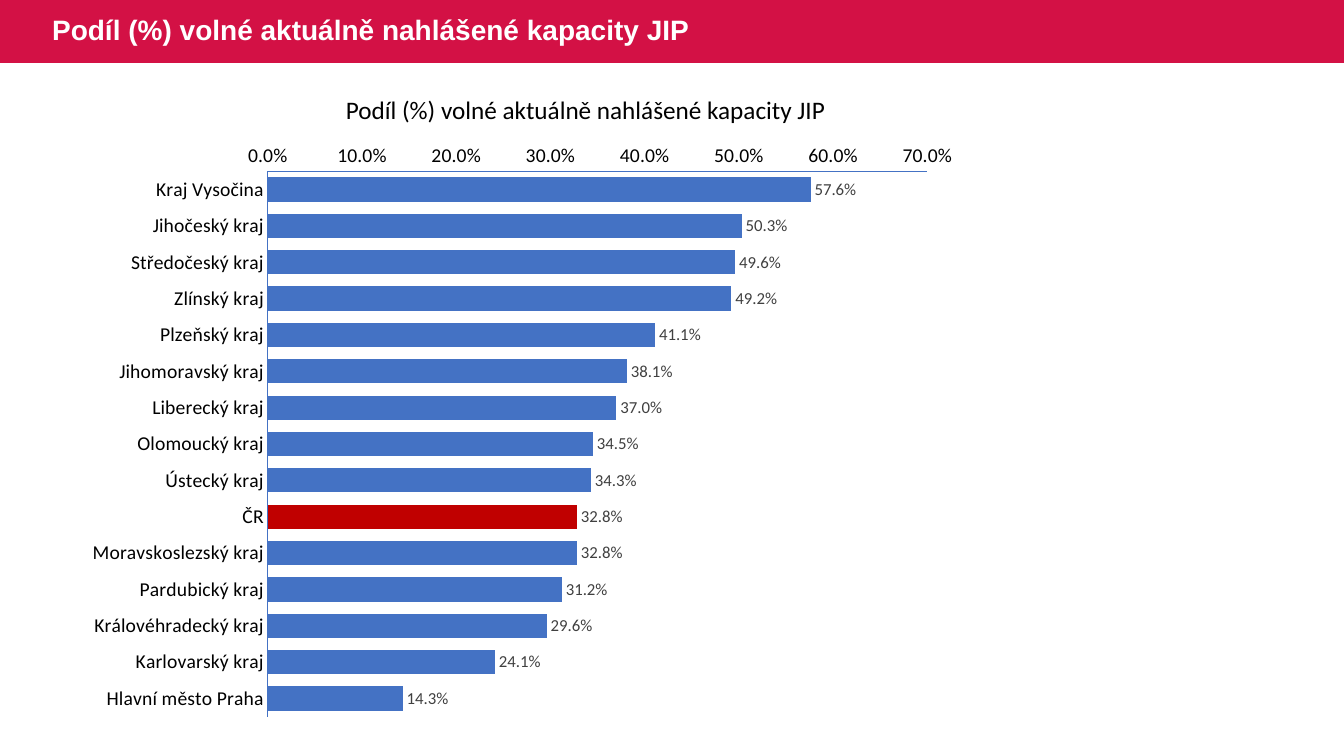
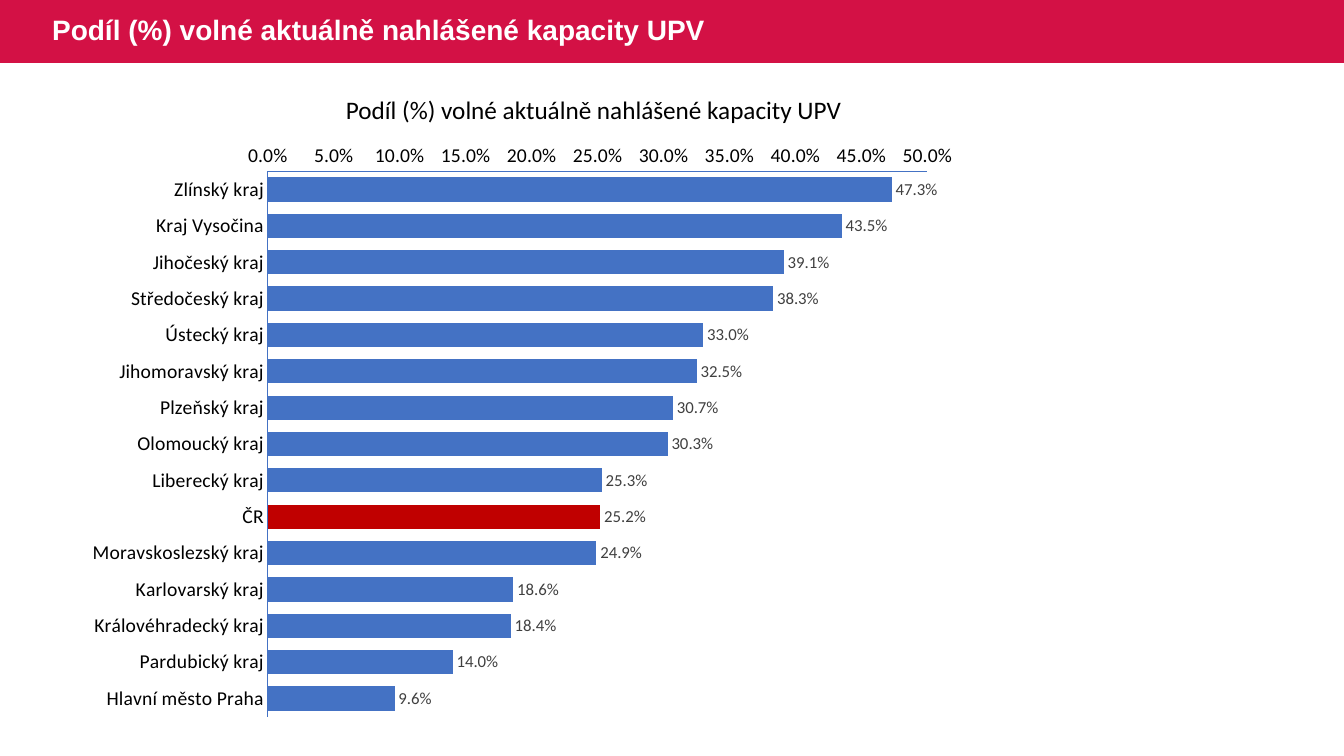
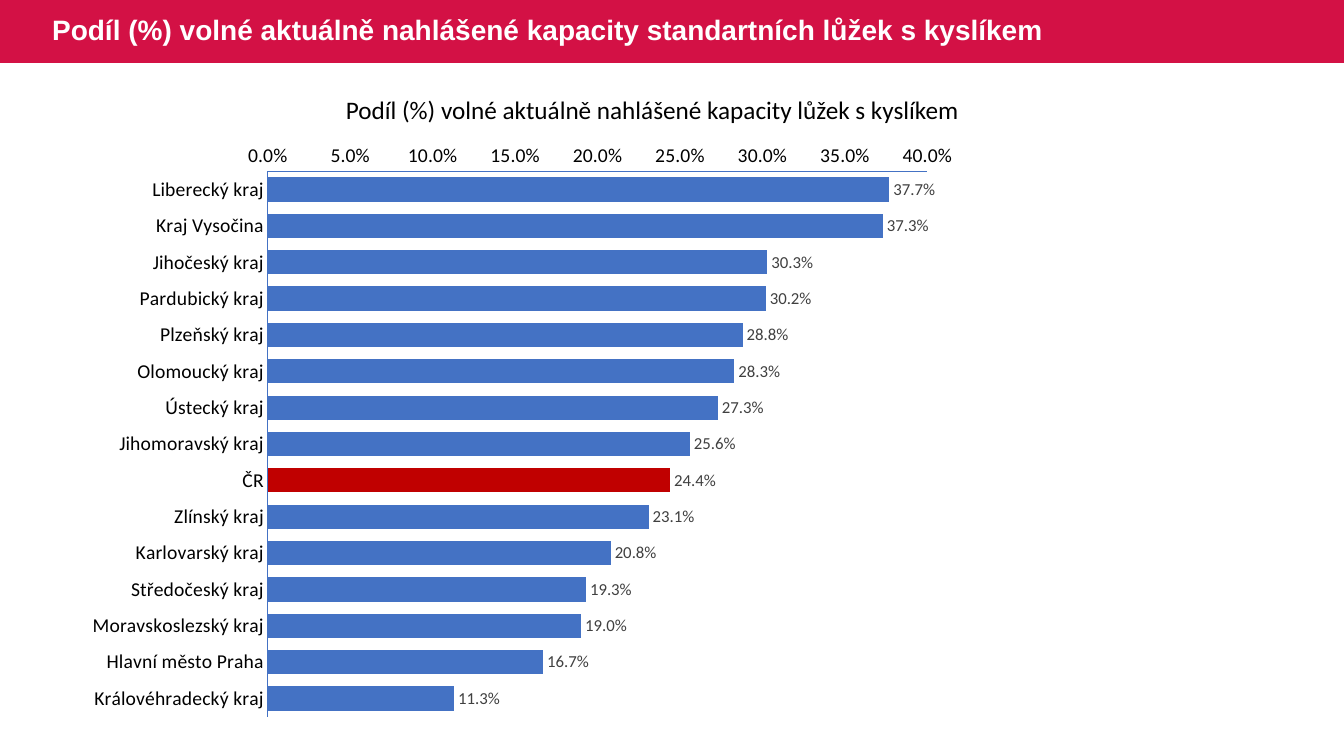
from pptx import Presentation
from pptx import util as u
from pptx.chart.data import CategoryChartData
from pptx.dml.color import RGBColor
from pptx.enum import chart as c
from pptx.enum import shapes, text

PX = 9525
SLIDE_WIDTH, SLIDE_HEIGHT, BAND_HEIGHT = 1280, 720, 60
CRIMSON = RGBColor(0xD3, 0x11, 0x45)
WHITE = RGBColor(0xFF, 0xFF, 0xFF)
BLACK = RGBColor(0x00, 0x00, 0x00)
GREY = RGBColor(0x40, 0x40, 0x40)
BLUE = RGBColor(0x44, 0x72, 0xC4)
RED = RGBColor(0xC0, 0x00, 0x00)
COUNTRY = "ČR"
PERCENT = "0.0%"

ICU_SHARES = {
    "Kraj Vysočina": 0.576, "Jihočeský kraj": 0.503, "Středočeský kraj": 0.496,
    "Zlínský kraj": 0.492, "Plzeňský kraj": 0.411, "Jihomoravský kraj": 0.381,
    "Liberecký kraj": 0.37, "Olomoucký kraj": 0.345, "Ústecký kraj": 0.343,
    COUNTRY: 0.328, "Moravskoslezský kraj": 0.328, "Pardubický kraj": 0.312,
    "Královéhradecký kraj": 0.296, "Karlovarský kraj": 0.241, "Hlavní město Praha": 0.143,
}
VENTILATOR_SHARES = {
    "Zlínský kraj": 0.473, "Kraj Vysočina": 0.435, "Jihočeský kraj": 0.391,
    "Středočeský kraj": 0.383, "Ústecký kraj": 0.33, "Jihomoravský kraj": 0.325,
    "Plzeňský kraj": 0.307, "Olomoucký kraj": 0.303, "Liberecký kraj": 0.253,
    COUNTRY: 0.252, "Moravskoslezský kraj": 0.249, "Karlovarský kraj": 0.186,
    "Královéhradecký kraj": 0.184, "Pardubický kraj": 0.14, "Hlavní město Praha": 0.096,
}
OXYGEN_SHARES = {
    "Liberecký kraj": 0.377, "Kraj Vysočina": 0.373, "Jihočeský kraj": 0.303,
    "Pardubický kraj": 0.302, "Plzeňský kraj": 0.288, "Olomoucký kraj": 0.283,
    "Ústecký kraj": 0.273, "Jihomoravský kraj": 0.256, COUNTRY: 0.244,
    "Zlínský kraj": 0.231, "Karlovarský kraj": 0.208, "Středočeský kraj": 0.193,
    "Moravskoslezský kraj": 0.19, "Hlavní město Praha": 0.167, "Královéhradecký kraj": 0.113,
}
PAGES = [
    ("Podíl (%) volné aktuálně nahlášené kapacity JIP",
     "Podíl (%) volné aktuálně nahlášené kapacity JIP", 492, ICU_SHARES),
    ("Podíl (%) volné aktuálně nahlášené kapacity UPV",
     "Podíl (%) volné aktuálně nahlášené kapacity UPV", 496, VENTILATOR_SHARES),
    ("Podíl (%) volné aktuálně nahlášené kapacity standartních lůžek s kyslíkem",
     "Podíl (%) volné aktuálně nahlášené kapacity lůžek s kyslíkem", 610, OXYGEN_SHARES),
]


def place(*lengths):
    """Turn px lengths into EMU."""
    return [u.Emu(length * PX) for length in lengths]


def style_font(font, name, size, color, bold=False):
    """Set the face, size, colour and weight of a font."""
    font.name, font.size, font.bold = name, u.Pt(size), bold
    font.color.rgb = color


def add_band(page, layout):
    """Put the title band on the layout, behind its placeholders."""
    band = page.shapes.add_shape(
        shapes.MSO_SHAPE.RECTANGLE, *place(0, 0, SLIDE_WIDTH, BAND_HEIGHT))
    band.shadow.inherit = False
    band.fill.solid()
    band.fill.fore_color.rgb = CRIMSON
    band.line.fill.background()
    layout.shapes.element.insert(2, band.element)


def set_title(page, title):
    """Write the slide title inside the band."""
    box = page.shapes.title
    box.left, box.top, box.width, box.height = place(40, 0, 1110, BAND_HEIGHT)
    frame = box.text_frame
    frame.text = title
    frame.vertical_anchor = text.MSO_ANCHOR.MIDDLE
    frame.auto_size = text.MSO_AUTO_SIZE.NONE
    para = frame.paragraphs[0]
    para.alignment = text.PP_ALIGN.LEFT
    para.line_spacing = 0.9
    style_font(para.runs[0].font, "Arial", 20, WHITE, True)


def add_heading(page, heading, width):
    """Add the heading above the chart."""
    frame = page.shapes.add_textbox(*place(320, 85, width, 38)).text_frame
    frame.text = heading
    frame.word_wrap = False
    frame.auto_size = text.MSO_AUTO_SIZE.SHAPE_TO_FIT_TEXT
    style_font(frame.paragraphs[0].runs[0].font, "Calibri", 18, BLACK)


def style_axis(axis):
    """Give an axis a thin blue line and no ticks or gridlines."""
    axis.has_major_gridlines = False
    axis.major_tick_mark = axis.minor_tick_mark = c.XL_TICK_MARK.NONE
    axis.format.line.color.rgb = BLUE
    axis.format.line.width = u.Pt(0.75)
    style_font(axis.tick_labels.font, "Calibri", 14, BLACK)


def add_share_chart(page, shares):
    """Add the ranked bar chart with the national bar in red."""
    data = CategoryChartData(number_format=PERCENT)
    data.categories = list(shares)
    data.add_series("Series 1", list(shares.values()))
    chart = page.shapes.add_chart(
        c.XL_CHART_TYPE.BAR_CLUSTERED, *place(71, 125, 853, 569), data).chart
    chart.has_legend = chart.has_title = False
    style_font(chart.font, "Calibri", 10, BLACK)
    style_axis(chart.category_axis)
    style_axis(chart.value_axis)
    chart.category_axis.reverse_order = True
    labels = chart.value_axis.tick_labels
    labels.number_format, labels.number_format_is_linked = PERCENT, False

    plot = chart.plots[0]
    plot.gap_width = 50
    plot.vary_by_categories = False
    series = plot.series[0]
    series.format.fill.solid()
    series.format.fill.fore_color.rgb = BLUE
    country_fill = series.points[list(shares).index(COUNTRY)].format.fill
    country_fill.solid()
    country_fill.fore_color.rgb = RED
    labels = series.data_labels
    labels.show_value = True
    labels.position = c.XL_LABEL_POSITION.OUTSIDE_END
    labels.number_format, labels.number_format_is_linked = PERCENT, False
    style_font(labels.font, "Calibri", 12, GREY)


def main():
    """Build and save the deck."""
    deck = Presentation()
    deck.slide_width, deck.slide_height = place(SLIDE_WIDTH, SLIDE_HEIGHT)
    layout = deck.slide_layouts.get_by_name("Title Only")
    for title, heading, width, shares in PAGES:
        page = deck.slides.add_slide(layout)
        set_title(page, title)
        add_share_chart(page, shares)
        add_heading(page, heading, width)
    add_band(deck.slides[0], layout)
    deck.save("out.pptx")


if __name__ == "__main__":
    main()
